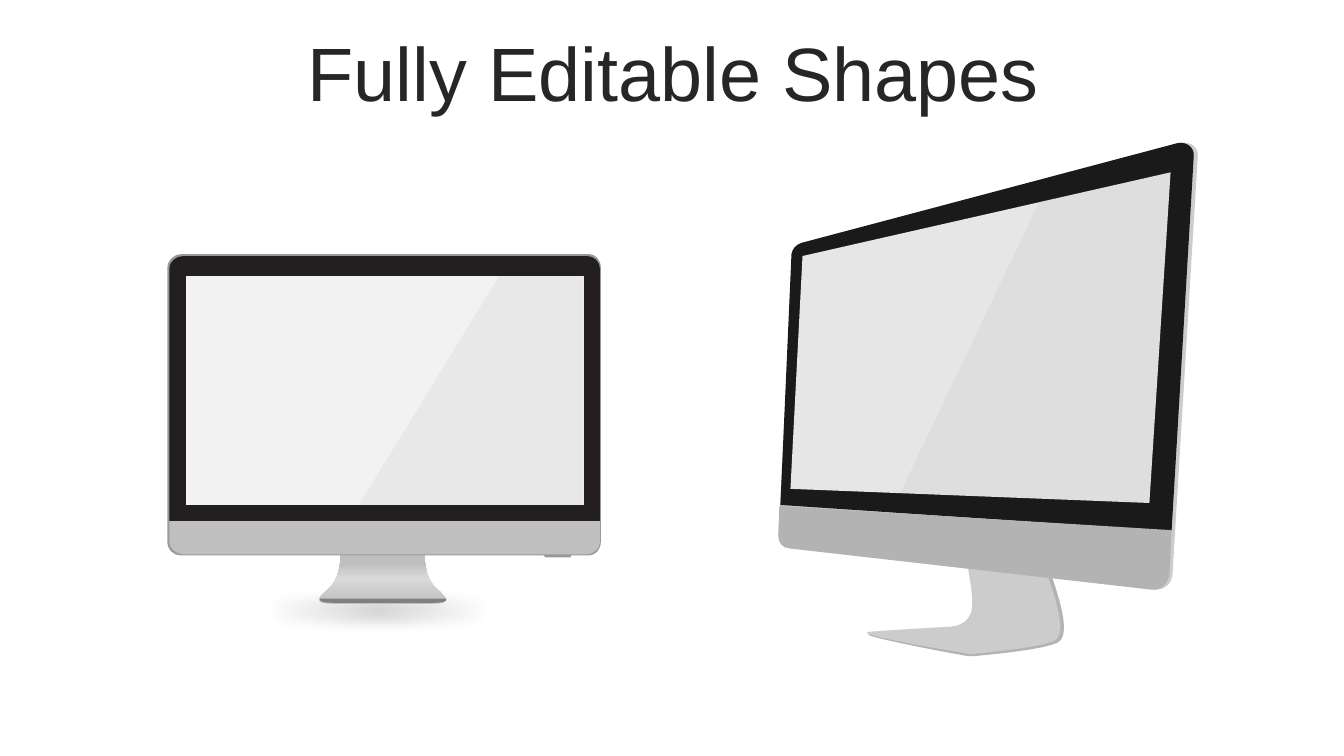
from dataclasses import dataclass

from lxml import etree
from pptx import Presentation
from pptx.dml.color import RGBColor
from pptx.enum.shapes import MSO_SHAPE
from pptx.enum.text import MSO_ANCHOR, PP_ALIGN
from pptx.oxml import parse_xml
from pptx.oxml.ns import nsdecls, qn
from pptx.util import Pt

PX = 9144  # EMU per px, at 100 px to the inch
OVAL = MSO_SHAPE.OVAL
CENTER = PP_ALIGN.CENTER
MIDDLE = MSO_ANCHOR.MIDDLE


@dataclass(frozen=True)
class Theme:
    font: str = "Arial"
    title_size: int = 54
    title: str = "262626"
    case: str = "999999"
    front_bezel: str = "231F20"
    front_screen: str = "F2F2F2"
    side_bezel: str = "1A1A1A"
    side_screen: str = "E6E6E6"
    chin: str = "BFBFBF"
    highlight: str = "D9D9D9"
    light_metal: str = "CCCCCC"
    dark_metal: str = "B3B3B3"
    shade: str = "808080"
    gloss_opacity: int = 10


class Page:
    def __init__(self, deck, theme):
        self.theme = theme
        self.shapes = deck.slides.add_slide(deck.slide_layouts[6]).shapes

    def title(self, text, left, top, width, height):
        box = self.shapes.add_textbox(left * PX, top * PX, width * PX, height * PX)
        frame = box.text_frame
        frame.word_wrap = True
        frame.vertical_anchor = MIDDLE
        para = frame.paragraphs[0]
        para.text = text
        para.alignment = CENTER
        para.line_spacing = 0.9
        para.font.name = self.theme.font
        para.font.size = Pt(self.theme.title_size)
        para.font.color.rgb = RGBColor.from_string(self.theme.title)

    def paint(self, shape, color, opacity=100):
        shape.shadow.inherit = False
        shape.line.fill.background()
        shape.fill.solid()
        shape.fill.fore_color.rgb = RGBColor.from_string(color)
        if opacity < 100:
            value = shape.fill._xPr.find(".//" + qn("a:srgbClr"))
            etree.SubElement(value, qn("a:alpha"), val=str(opacity * 1000))

    def gradient(self, shape, stops, direction):
        """Replace the fill by stops of (percent, color, opacity)."""
        marks = "".join(
            f'<a:gs pos="{place * 1000}"><a:srgbClr val="{color}">'
            f'<a:alpha val="{opacity * 1000}"/></a:srgbClr></a:gs>'
            for place, color, opacity in stops)
        fill = parse_xml(f'<a:gradFill {nsdecls("a")} rotWithShape="1">'
                         f"<a:gsLst>{marks}</a:gsLst>{direction}</a:gradFill>")
        properties = shape.fill._xPr
        properties.replace(properties.find(qn("a:solidFill")), fill)

    def outline(self, color, start, *segments, opacity=100):
        """Draw a closed outline of lines (x, y) and Bezier curves (three points)."""
        points = [(segment[i] * PX, segment[i + 1] * PX)
                  for segment in segments for i in range(0, len(segment), 2)]
        builder = self.shapes.build_freeform(start[0] * PX, start[1] * PX, scale=1.0)
        builder.add_line_segments(points, close=True)
        shape = builder.convert_to_shape()
        lines = iter(list(shape._element.iter(qn("a:lnTo"))))
        for segment in segments:
            line = next(lines)
            if len(segment) == 6:
                line.tag = qn("a:cubicBezTo")
                for control in (next(lines), next(lines)):
                    line.append(control[0])
                    control.getparent().remove(control)
        self.paint(shape, color, opacity)
        return shape

    def floor_shadow(self, left, top, width, height, blur):
        shape = self.shapes.add_shape(OVAL, left * PX, top * PX, width * PX, height * PX)
        shade = self.theme.shade
        self.paint(shape, shade)
        self.gradient(shape, [(0, shade, 32), (48, shade, 0), (100, shade, 0)],
                      '<a:path path="circle"><a:fillToRect l="50000" t="50000" '
                      'r="50000" b="50000"/></a:path>')
        effects = shape._element.spPr.find(qn("a:effectLst"))
        etree.SubElement(effects, qn("a:softEdge"), rad=str(blur * PX))


def draw_front_monitor(page):
    theme = page.theme
    page.floor_shadow(132, 581, 485, 49, blur=12)
    stand = page.outline(
        theme.chin, (430, 581), (421, 571, 421, 551, 421, 551), (338, 551),
        (338, 551, 338, 571, 329, 581), (320, 590, 306, 599, 330, 599),
        (429, 599), (453, 599, 439, 590, 430, 581))
    page.gradient(stand, [(0, theme.chin, 100), (53, theme.highlight, 100),
                          (83, theme.chin, 100), (100, theme.chin, 100)],
                  '<a:lin ang="16200000" scaled="0"/>')
    page.outline(  # case
        theme.case, (584, 252), (180, 252), (173, 252, 166, 258, 166, 266),
        (166, 537), (166, 545, 172, 551, 179, 551), (584, 551),
        (591, 551, 596, 545, 596, 537), (596, 266), (596, 258, 591, 252, 584, 252))
    page.outline(  # foot
        theme.case, (539, 550), (539, 550, 539, 552, 541, 553), (565, 553),
        (565, 553, 567, 553, 567, 550))
    page.outline(  # bezel
        theme.front_bezel, (582, 254), (182, 254), (175, 254, 168, 259, 168, 267),
        (168, 517), (595, 517), (595, 267), (595, 259, 589, 254, 582, 254))
    page.outline(  # stand edge
        theme.shade, (317, 594), (317, 597, 321, 598, 331, 598), (429, 598),
        (439, 598, 443, 597, 443, 594))
    page.outline(  # chin
        theme.chin, (168, 538), (168, 544, 175, 550, 182, 550), (582, 550),
        (589, 550, 595, 544, 595, 538), (595, 517), (168, 517))
    page.outline(theme.front_screen, (184, 274), (579, 274), (579, 501), (184, 501))
    page.outline(theme.case, (495, 274), (579, 274), (579, 501), (356, 501),
                 opacity=theme.gloss_opacity)


def draw_side_monitor(page):
    theme = page.theme
    page.outline(  # stand edge
        theme.dark_metal, (963, 563), (966, 582, 968, 594, 967, 605),
        (966, 607, 966, 610, 964, 614), (959, 623, 947, 624, 940, 624),
        (918, 625, 873, 627, 866, 628), (865, 628, 860, 628, 860, 628),
        (861, 628, 862, 630, 862, 630), (864, 633, 947, 649, 961, 651),
        (962, 651, 963, 651, 965, 651), (977, 650, 1043, 644, 1051, 636),
        (1061, 627, 1051, 595, 1044, 574), (1047, 572, 1006, 567, 963, 563))
    page.outline(  # stand
        theme.light_metal, (960, 563), (963, 582, 965, 592, 964, 603),
        (964, 606, 963, 609, 961, 612), (956, 621, 944, 622, 938, 622),
        (921, 623, 869, 626, 861, 627), (849, 630, 944, 646, 958, 648),
        (959, 649, 961, 649, 962, 649), (973, 648, 1040, 642, 1048, 634),
        (1057, 625, 1047, 594, 1040, 574), (1043, 571, 1003, 566, 960, 563))
    page.outline(  # case
        theme.light_metal, (1145, 585), (783, 544), (776, 543, 772, 538, 772, 531),
        (786, 263), (786, 247, 790, 242, 795, 241), (1172, 142),
        (1181, 140, 1189, 147, 1188, 155), (1163, 569),
        (1163, 579, 1154, 586, 1145, 585))
    page.outline(  # bezel
        theme.side_bezel, (1162, 527), (774, 501), (785, 252),
        (786, 247, 789, 243, 795, 241), (1168, 142),
        (1177, 140, 1185, 147, 1184, 155))
    page.outline(theme.side_screen, (1140, 499), (784, 485), (796, 254), (1161, 171))
    page.outline(  # chin
        theme.dark_metal, (773, 502), (772, 532), (772, 538, 776, 544, 783, 544),
        (1142, 585), (1151, 586, 1159, 579, 1160, 569), (1162, 526))
    page.outline(theme.case, (1031, 200), (1161, 171), (1140, 499), (893, 489),
                 opacity=theme.gloss_opacity)


def main():
    deck = Presentation()
    deck.slide_width, deck.slide_height = 1333 * PX, 750 * PX
    page = Page(deck, Theme())
    page.title("Fully Editable Shapes", 35, 37, 1266, 79)
    draw_front_monitor(page)
    draw_side_monitor(page)
    deck.save("out.pptx")


if __name__ == "__main__":
    main()
